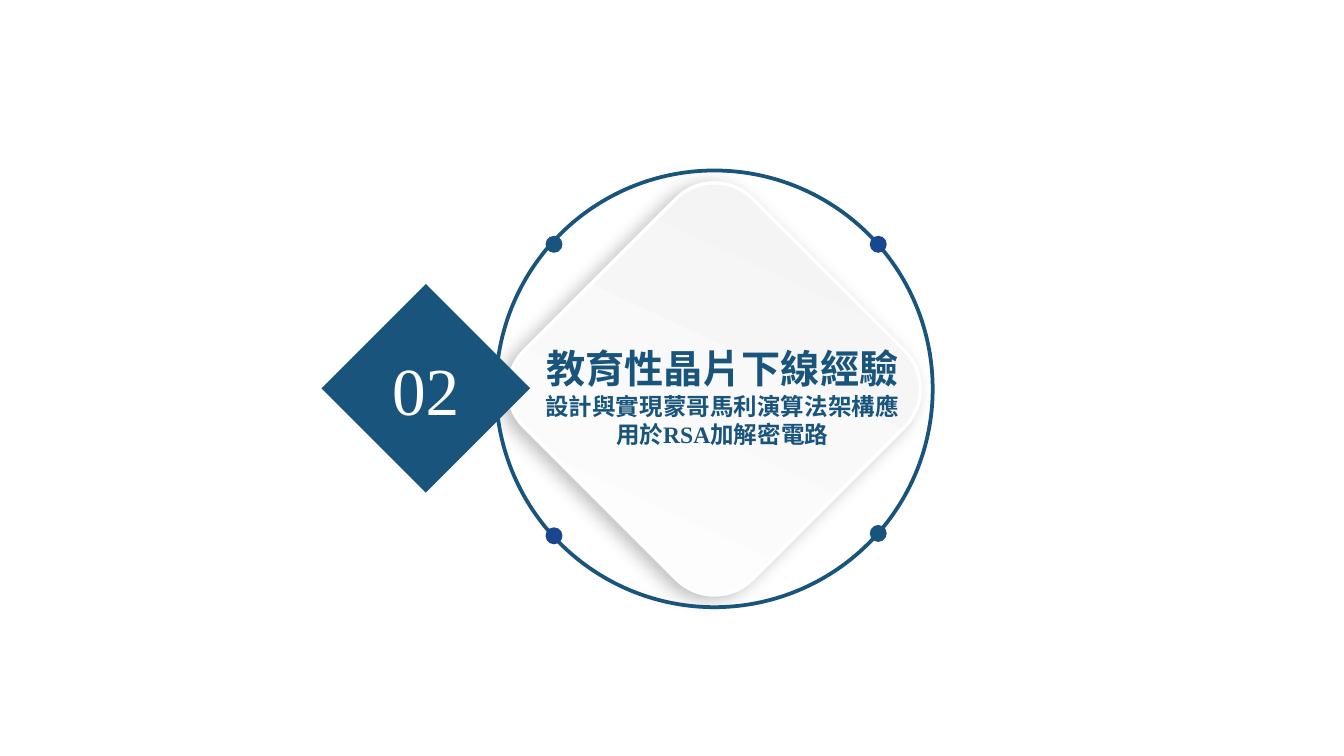
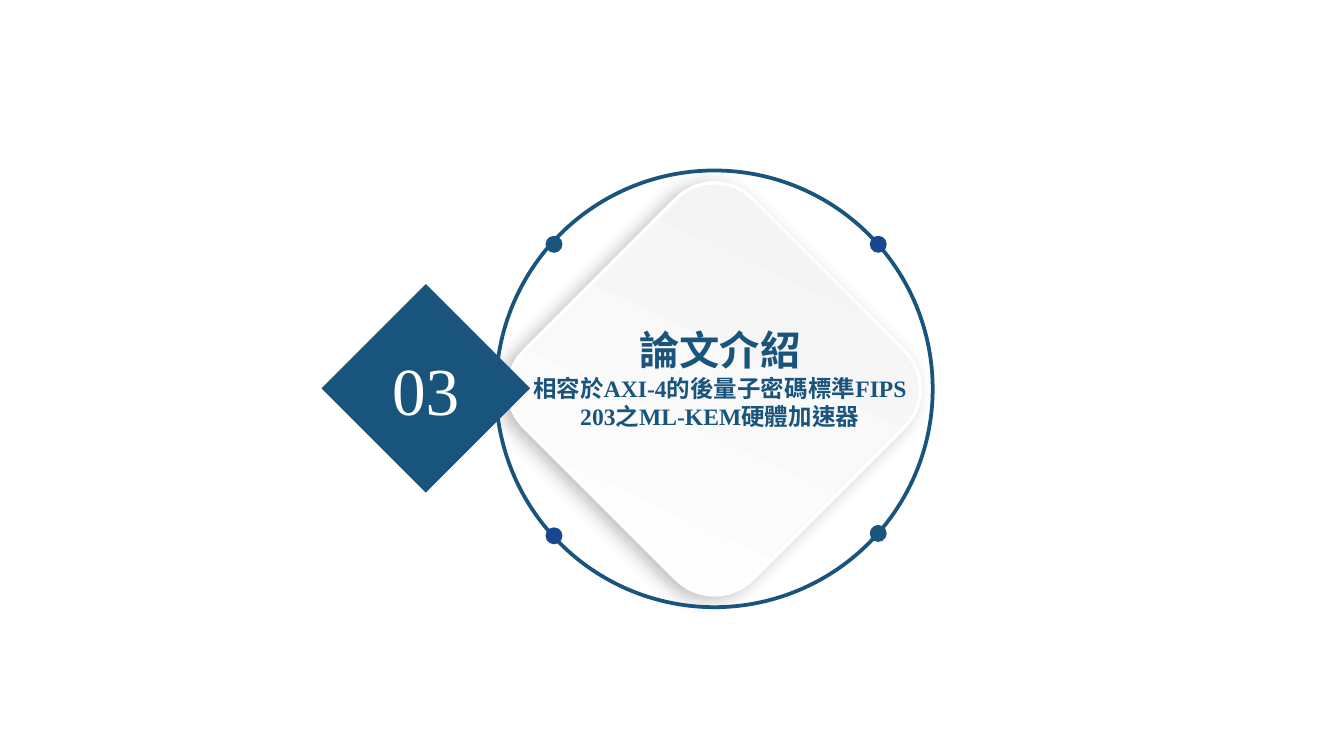
import pptx
import pptx.util
import pptx.dml.color
import pptx.enum.shapes
import pptx.enum.text
import pptx.enum.lang
import lxml.etree

Inches = pptx.util.Inches
RGBColor = pptx.dml.color.RGBColor
Kind = pptx.enum.shapes.MSO_SHAPE
TEAL = RGBColor(0x19, 0x54, 0x7C)
BLUE = RGBColor(0x18, 0x47, 0x8F)
GRAY = RGBColor(0xF2, 0xF2, 0xF2)
WHITE = RGBColor(0xFF, 0xFF, 0xFF)
FONT = "Times New Roman"
SHADOW = (
    '<a:outerShdw xmlns:a="http://schemas.openxmlformats.org/drawingml/2006/main"'
    ' blurRad="139700" dist="63500" dir="9600000" rotWithShape="0">'
    '<a:srgbClr val="000000"><a:alpha val="25000"/></a:srgbClr></a:outerShdw>'
)
DOTS = [(4.51, 1.95, TEAL), (7.19, 4.34, TEAL), (4.51, 4.36, BLUE), (7.19, 1.95, BLUE)]
PARTS = [
    ("02", "教育性晶片下線經驗", "設計與實現蒙哥馬利演算法架構應用於RSA加解密電路",
     23.3, (4.39, 2.8, 3.16, 1.36)),
    ("03", "論文介紹", "相容於AXI-4的後量子密碼標準FIPS 203之ML-KEM硬體加速器",
     24, (4.24, 2.64, 3.42, 1.38)),
]


def draw(slide, kind, left, top, size, fill=None, line=None, width=0, turn=0):
    """Add a square-framed shape without shadow; no fill or line unless given."""
    shape = slide.shapes.add_shape(
        kind, Inches(left), Inches(top), Inches(size), Inches(size))
    shape.shadow.inherit = False
    shape.rotation = turn
    if fill is None:
        shape.fill.background()
    else:
        shape.fill.solid()
        shape.fill.fore_color.rgb = fill
    if line is None:
        shape.line.fill.background()
    else:
        shape.line.color.rgb = line
        shape.line.width = pptx.util.Pt(width)
    return shape


def write(para, text, size, color=TEAL, bold=False):
    para.alignment = pptx.enum.text.PP_ALIGN.CENTER
    para.line_spacing = 1.0
    para.space_before = pptx.util.Pt(0)
    run = para.add_run()
    run.text = text
    font = run.font
    font.name = FONT
    font.size = pptx.util.Pt(size)
    font.bold = bold
    font.color.rgb = color
    font.language_id = pptx.enum.lang.MSO_LANGUAGE_ID.TRADITIONAL_CHINESE


deck = pptx.Presentation()
deck.slide_width = Inches(11.11)
deck.slide_height = Inches(6.25)

for number, topic, detail, size, box in PARTS:
    slide = deck.slides.add_slide(deck.slide_layouts[5])

    plate = draw(slide, Kind.ROUNDED_RECTANGLE, 4.57, 1.88, 2.67,
                 line=WHITE, width=2, turn=45)
    plate.fill.gradient()
    plate.fill.gradient_angle = 110
    for stop, color, place in zip(plate.fill.gradient_stops, (WHITE, GRAY), (0, 1)):
        stop.color.rgb = color
        stop.position = place
    effects = plate._element.spPr.find(pptx.oxml.ns.qn("a:effectLst"))
    effects.append(lxml.etree.fromstring(SHADOW))

    draw(slide, Kind.OVAL, 4.1, 1.41, 3.61, line=TEAL, width=2.25)
    for left, top, color in DOTS:
        draw(slide, Kind.OVAL, left, top, 0.14, fill=color)

    title = slide.shapes.title
    title.left, title.top, title.width, title.height = map(Inches, box)
    slide.shapes._spTree.append(title._element)  # bring in front of the plate
    frame = title.text_frame
    frame.word_wrap = True
    frame.auto_size = pptx.enum.text.MSO_AUTO_SIZE.NONE
    frame.vertical_anchor = pptx.enum.text.MSO_ANCHOR.TOP
    write(frame.paragraphs[0], topic, size, bold=True)
    write(frame.add_paragraph(), detail, 14, bold=True)

    draw(slide, Kind.RECTANGLE, 2.91, 2.6, 1.22, fill=TEAL, turn=225)
    label = slide.shapes.add_textbox(
        Inches(3.14), Inches(2.83), Inches(0.76), Inches(0.77))
    label.text_frame.word_wrap = False
    write(label.text_frame.paragraphs[0], number, 40, color=WHITE)

deck.save("out.pptx")
